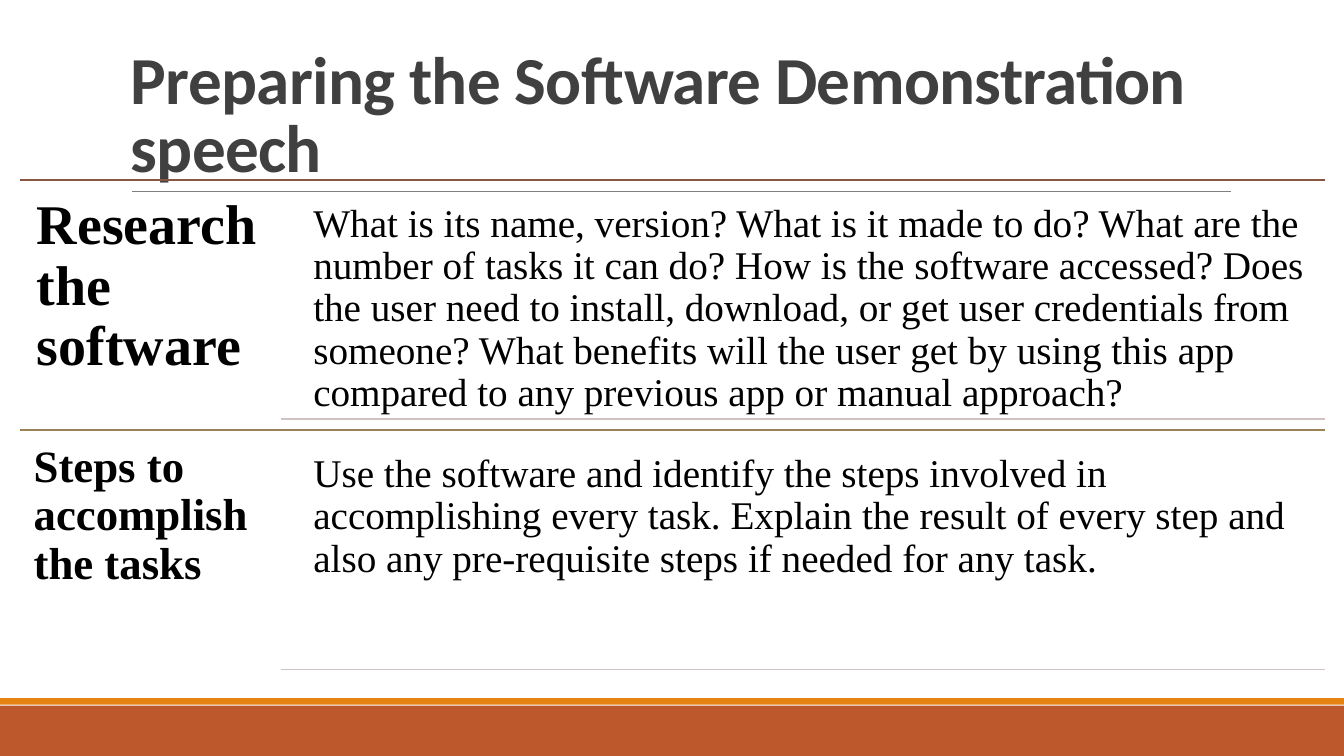
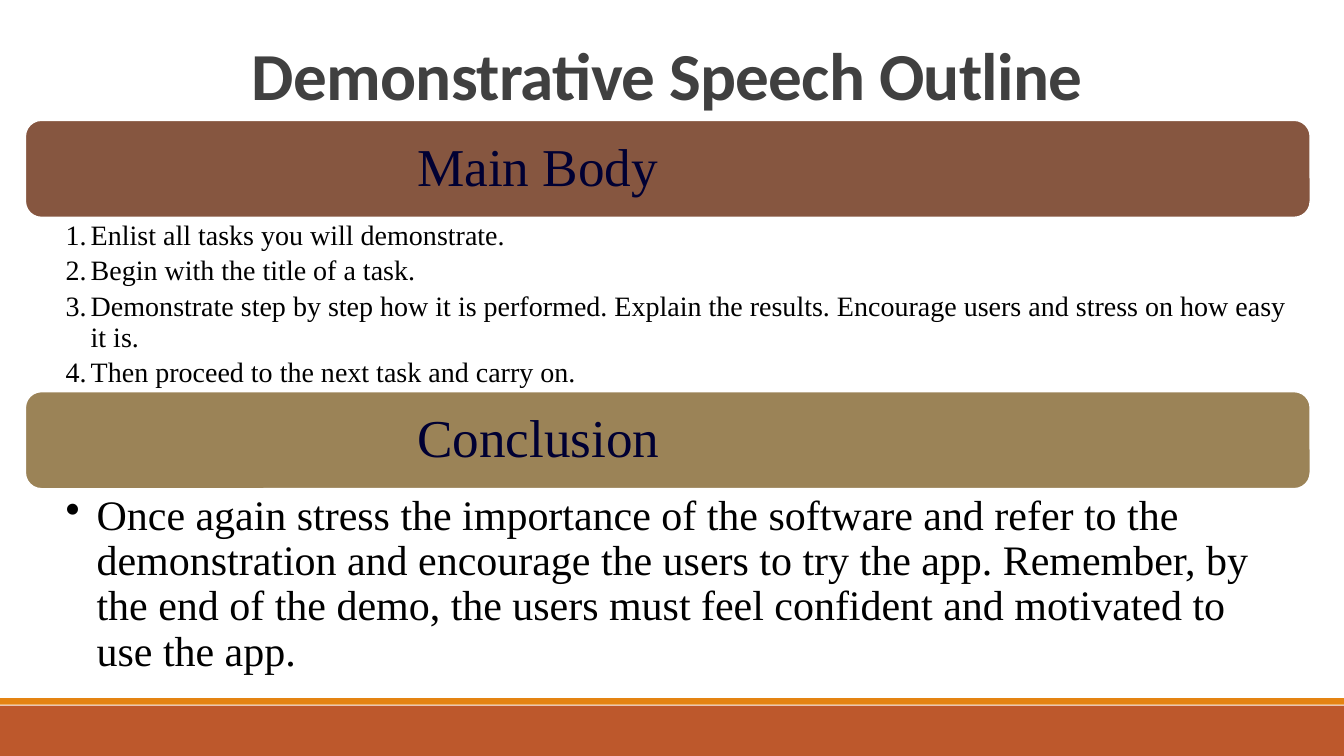
import pptx
import pptx.util
import pptx.dml.color
import pptx.enum.shapes
import pptx.enum.text
import lxml.etree

RGB = pptx.dml.color.RGBColor
SHAPE = pptx.enum.shapes.MSO_SHAPE
ANCHOR = pptx.enum.text.MSO_ANCHOR
ALIGN = pptx.enum.text.PP_ALIGN

RUST = RGB(0xBD, 0x58, 0x2C)
ORANGE = RGB(0xE4, 0x83, 0x12)
BROWN = RGB(0x86, 0x56, 0x40)
OLIVE = RGB(0x9B, 0x83, 0x57)
PALE = RGB(0xCE, 0xC3, 0xC0)
GREY = RGB(0x80, 0x80, 0x80)
DARK = RGB(0x40, 0x40, 0x40)
NAVY = RGB(0x00, 0x00, 0x33)
BLACK = RGB(0x00, 0x00, 0x00)
WHITE = RGB(0xFF, 0xFF, 0xFF)

HEAD = "Calibri"
BODY = "Times New Roman"
WIDE, HIGH = 1600, 900
SCALE = 7620  # EMU in one px, 120 px to the inch


def emu(px):
    return pptx.util.Emu(px * SCALE)


class Deck:
    def __init__(self):
        self.prs = pptx.Presentation()
        self.prs.slide_width = emu(WIDE)
        self.prs.slide_height = emu(HIGH)
        self.slide = None

    def start(self):
        """Open a blank slide with the footer bands."""
        self.slide = self.prs.slides.add_slide(self.prs.slide_layouts[6])
        self.block(0, 840, WIDE, 60, RUST)
        self.block(0, 831, WIDE, 8, ORANGE)

    def block(self, x, y, w, h, fill, kind=SHAPE.RECTANGLE):
        shape = self.slide.shapes.add_shape(kind, emu(x), emu(y), emu(w), emu(h))
        shape.shadow.inherit = False
        shape.fill.solid()
        shape.fill.fore_color.rgb = fill
        shape.line.fill.background()
        return shape

    def rule(self, x1, x2, y, color, width=1.25):
        line = self.slide.shapes.add_connector(
            pptx.enum.shapes.MSO_CONNECTOR.STRAIGHT, emu(x1), emu(y), emu(x2), emu(y))
        line.line.color.rgb = color
        line.line.width = pptx.util.Pt(width)
        props = line._element.spPr
        lxml.etree.SubElement(props, pptx.oxml.ns.qn("a:effectLst"))

    def fill(self, frame, lines, size, color=BLACK, font=BODY, bold=False,
             pad=(12, 6, 12, 6), lead=0.9, mark=None, hang=0):
        """Write paragraphs; mark is a (tag, attribute, value) bullet."""
        frame.word_wrap = True
        (frame.margin_left, frame.margin_top,
         frame.margin_right, frame.margin_bottom) = map(emu, pad)
        for i, line in enumerate(lines):
            para = frame.paragraphs[0] if i == 0 else frame.add_paragraph()
            para.text = line
            para.alignment = ALIGN.LEFT
            para.line_spacing = lead
            if mark:
                tag, key, value = mark
                props = para._p.get_or_add_pPr()
                props.set("marL", str(emu(hang)))
                props.set("indent", str(-emu(hang)))
                para.space_after = pptx.util.Pt(size * 0.2)
                lxml.etree.SubElement(props, pptx.oxml.ns.qn(tag)).set(key, value)
            para.font.name = font
            para.font.size = pptx.util.Pt(size)
            para.font.bold = bold
            para.font.color.rgb = color

    def text(self, x, y, w, h, lines, size, **style):
        box = self.slide.shapes.add_textbox(emu(x), emu(y), emu(w), emu(h))
        self.fill(box.text_frame, lines, size, **style)
        return box.text_frame

    def title(self, x, y, w, h, words):
        frame = self.text(x, y, w, h, [words], 48, color=DARK, font=HEAD,
                          bold=True, lead=0.85)
        frame.vertical_anchor = ANCHOR.BOTTOM
        frame.paragraphs[0].runs[0]._r.get_or_add_rPr().set("spc", "-50")

    def band(self, y, words, color):
        shape = self.block(30, y, 1530, 116, color, SHAPE.ROUNDED_RECTANGLE)
        shape.line.color.rgb = WHITE
        shape.line.width = pptx.util.Pt(1.25)
        shape.text_frame.vertical_anchor = ANCHOR.MIDDLE
        self.fill(shape.text_frame, [words], 38, color=NAVY, pad=(461, 14, 14, 14))

    def row(self, y, color, label, size, pad, words):
        self.rule(24, 1577, y, color)
        self.text(24, y, 311, 298, [label], size, bold=True, pad=(pad,) * 4)
        self.text(359, y + 14, 1218, 271, [words], 28, pad=(14,) * 4)
        self.rule(335, 1577, y + 285, PALE)


def prepare(deck):
    deck.start()
    deck.rule(157, 1465, 228, GREY, 0.5)
    deck.title(144, 37, 1320, 191, "Preparing the Software Demonstration speech")
    rows = [
        (BROWN, "Research the software", 40, 20,
         "What is its name, version? What is it made to do? What are the number "
         "of tasks it can do? How is the software accessed? Does the user need "
         "to install, download, or get user credentials from someone? What "
         "benefits will the user get by using this app compared to any previous "
         "app or manual approach?"),
        (OLIVE, "Steps to accomplish the tasks", 32, 16,
         "Use the software and identify the steps involved in accomplishing "
         "every task. Explain the result of every step and also any "
         "pre-requisite steps if needed for any task."),
    ]
    for i, row in enumerate(rows):
        deck.row(214 + i * 298, *row)


def outline(deck):
    deck.start()
    deck.title(288, 22, 1023, 120, "Demonstrative Speech Outline")
    # Main body with numbered steps
    deck.band(143, "Main Body", BROWN)
    deck.text(30, 259, 1530, 206, [
        "Enlist all tasks you will demonstrate.",
        "Begin with the title of a task.",
        "Demonstrate step by step how it is performed. Explain the results. "
        "Encourage users and stress on how easy it is.",
        "Then proceed to the next task and carry on.",
    ], 20, pad=(48, 4, 19, 4), mark=("a:buAutoNum", "type", "arabicPeriod"), hang=30)
    # Conclusion with one bullet
    deck.band(466, "Conclusion", OLIVE)
    deck.text(30, 582, 1530, 222, [
        "Once again stress the importance of the software and refer to the "
        "demonstration and encourage the users to try the app. Remember, by the "
        "end of the demo, the users must feel confident and motivated to use "
        "the app.",
    ], 30, pad=(48, 6, 36, 6), mark=("a:buChar", "char", "•"), hang=37)


def main():
    deck = Deck()
    prepare(deck)
    outline(deck)
    deck.prs.save("out.pptx")


if __name__ == "__main__":
    main()
